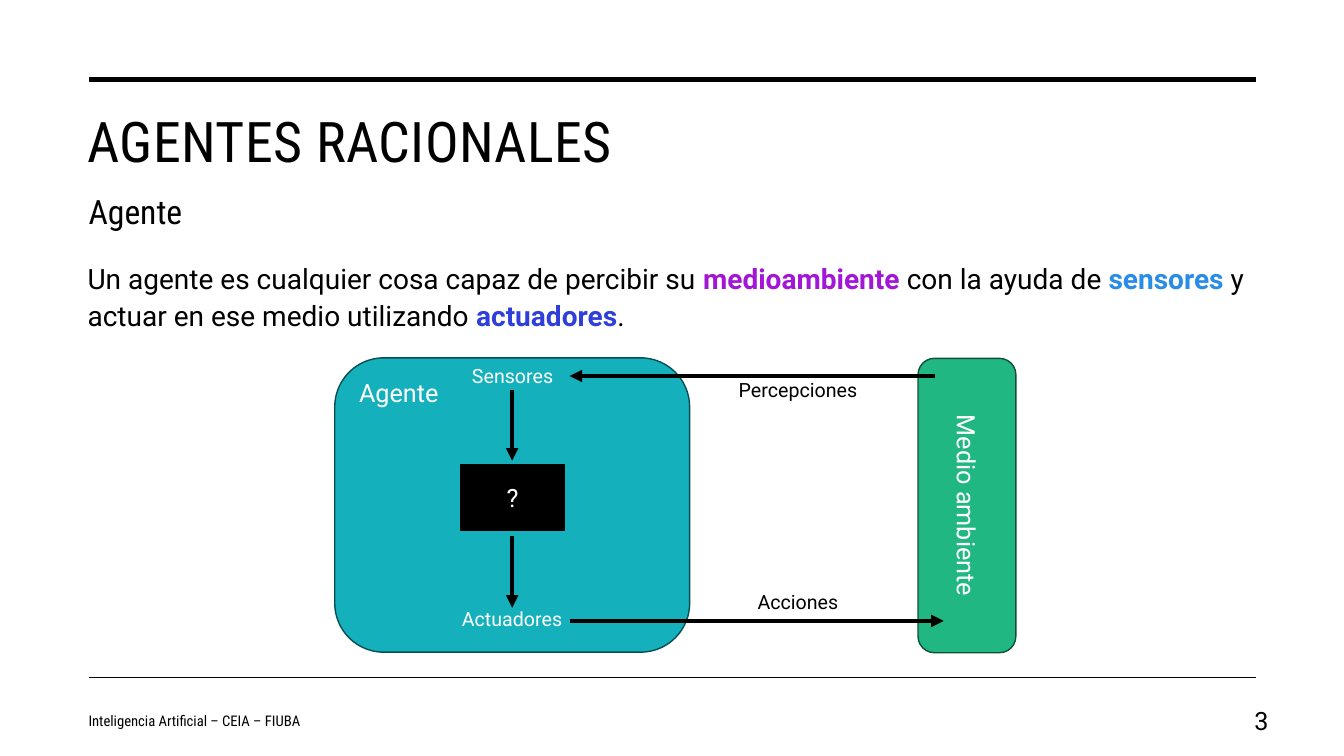
from lxml import etree
from pptx import Presentation, util as u
from pptx.dml.color import RGBColor
from pptx.enum import shapes, text
from pptx.oxml.ns import qn

PX = 9144
THEME = {
    "ink": "000000", "paper": "FFFFFF",
    "agent": "14B1BC", "agent_edge": "094E52",
    "environment": "21B782", "environment_edge": "0E5039",
    "purple": "A217D5", "sky": "298CE7", "blue": "2E40D9",
    "body_font": "Roboto", "heading_font": "Roboto Condensed",
    "title": 40, "subtitle": 24, "body": 20, "block": 18, "label": 14, "footer": 10.5,
}
LEFT, MIDDLE = text.PP_ALIGN.LEFT, text.MSO_ANCHOR.MIDDLE
CENTER, RIGHT = text.PP_ALIGN.CENTER, text.PP_ALIGN.RIGHT


def write(shape, runs, size="label", font="body_font", color="ink", align=LEFT,
          anchor=text.MSO_ANCHOR.TOP, line_spacing=None, tracking=None):
    frame = shape.text_frame
    frame.word_wrap = True
    frame.vertical_anchor = anchor
    paragraph = frame.paragraphs[0]
    paragraph.alignment = align
    paragraph.line_spacing = line_spacing
    for words, accent in [(runs, None)] if isinstance(runs, str) else runs:
        run = paragraph.add_run()
        run.text = words
        run.font.name = THEME[font]
        run.font.size = u.Pt(THEME[size])
        run.font.bold = accent is not None
        run.font.color.rgb = RGBColor.from_string(THEME[accent or color])
        if tracking:
            run._r.get_or_add_rPr().set("spc", str(tracking))


def connect(x1, y1, x2, y2, width, arrow=True):
    line = slide.shapes.add_connector(
        shapes.MSO_CONNECTOR.STRAIGHT, x1 * PX, y1 * PX, x2 * PX, y2 * PX)
    line.line.width = u.Pt(width)
    line.line.color.rgb = RGBColor.from_string(THEME["ink"])
    if arrow:
        etree.SubElement(line.line._get_or_add_ln(), qn("a:tailEnd"), type="triangle")
    etree.SubElement(line._element.spPr, qn("a:effectLst"))


deck = Presentation()
deck.slide_width, deck.slide_height = 1333 * PX, 750 * PX
slide = deck.slides.add_slide(deck.slide_layouts[6])

for y, width in [(79, 3.5), (672, 1)]:
    connect(88, y, 1246, y, width, arrow=False)

definition = [
    ("Un agente es cualquier cosa capaz de percibir su ", None),
    ("medioambiente", "purple"),
    (" con la ayuda de ", None),
    ("sensores", "sky"),
    (" y actuar en ese medio utilizando ", None),
    ("actuadores", "blue"),
    (".", None),
]
heading = {"font": "heading_font"}
passages = [
    ((77, 101, 1169, 150), "AGENTES RACIONALES", {"size": "title", "tracking": 30, **heading}),
    ((78, 184, 838, 50), "Agente", {"size": "subtitle", **heading}),
    ((77, 251, 1169, 398), definition, {"size": "body", "line_spacing": 1.1}),
    ((78, 695, 496, 40), "Inteligencia Artificial – CEIA – FIUBA",
     {"size": "footer", "anchor": MIDDLE, **heading}),
    ((1194, 695, 74, 40), "3", {"size": "block", "align": RIGHT, "anchor": MIDDLE}),
]

rounded, square = shapes.MSO_SHAPE.ROUNDED_RECTANGLE, shapes.MSO_SHAPE.RECTANGLE
centered = {"align": CENTER, "anchor": MIDDLE}
blocks = [
    (rounded, (332, 355, 352, 292), 0, "agent", "agent_edge", "Agente", {}),
    (rounded, (813, 453, 292, 97), 90, "environment", "environment_edge",
     "Medio ambiente", centered),
    (square, (457, 461, 103, 65), 0, "ink", "ink", "?", centered),
]
for preset, box, turn, fill, edge, words, layout in blocks:
    block = slide.shapes.add_shape(preset, *(n * PX for n in box))
    block.rotation = turn
    block.shadow.inherit = False
    block.fill.solid()
    block.fill.fore_color.rgb = RGBColor.from_string(THEME[fill])
    block.line.color.rgb = RGBColor.from_string(THEME[edge])
    block.line.width = u.Pt(1)
    write(block, words, size="block", color="paper", **layout)

for flow in [(927, 373, 565, 373), (565, 616, 936, 616),
             (508, 387, 508, 457), (508, 532, 508, 603)]:
    connect(*flow, 3)

labels = [
    ((452, 356, 113, 34), "Sensores", "paper"),
    ((446, 597, 124, 34), "Actuadores", "paper"),
    ((715, 370, 153, 34), "Percepciones", "ink"),
    ((715, 580, 153, 34), "Acciones", "ink"),
]
passages += [(box, words, {"color": color, "align": CENTER}) for box, words, color in labels]
for box, words, layout in passages:
    write(slide.shapes.add_textbox(*(n * PX for n in box)), words, **layout)

deck.save("out.pptx")
